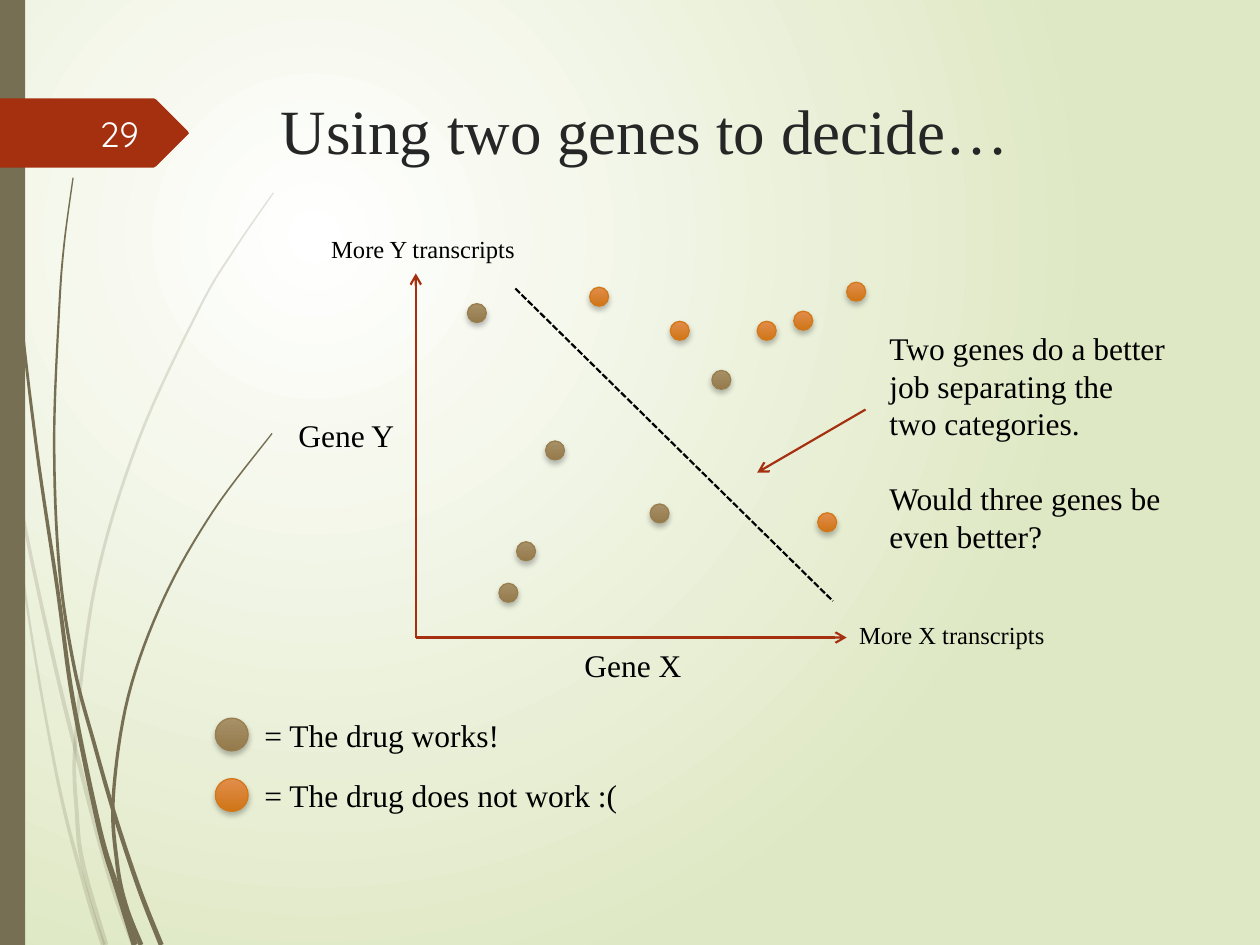
import math
import pptx
import pptx.util
import pptx.dml.color
import pptx.enum.dml
import pptx.enum.shapes
import pptx.enum.text
import pptx.oxml
import pptx.oxml.ns
from pptx.util import Inches

COLORS = {"olive": "766F54", "red": "A53010", "black": "000000", "title": "262626",
          "white": "FEFFFF", "glow": "FFFFFF", "edge": "DFE8C4"}
SERIF = "Times New Roman"

# Content: label text, left, top, width, height, size
LABELS = [
    ("More X transcripts", 6.72, 4.87, 1.68, 0.34, 14),
    ("More Y transcripts", 2.53, 1.81, 1.72, 0.34, 14),
    ("Gene Y", 2.27, 3.25, 0.97, 0.4, 18),
    ("Gene X", 4.54, 5.08, 0.98, 0.4, 18),
]
REMARKS = ["Two genes do a better job separating the two categories.",
           "Would three genes be even better?"]
# Each outcome: legend, legend top, fill top, fill bottom, line, left and top of its dots
OUTCOMES = [
    ("= The drug works!", 5.7, "A89068", "947A4B", "987D4D",
     [(3.71, 2.41), (3.96, 4.63), (4.1, 4.3), (4.33, 3.5), (5.16, 4), (5.65, 2.94)]),
    ("= The drug does not work :(", 6.18, "E18D4C", "CF7516", "D47817",
     [(6.3, 2.47), (6.01, 2.55), (6.72, 2.24), (5.32, 2.55), (6.49, 4.07), (4.68, 2.28)]),
]
# Start, end, colour, dash, arrowhead
ORIGIN = (3.3, 5.06)
LINES = [
    (ORIGIN, (3.3, 2.17), "red", False, True),
    (ORIGIN, (6.72, 5.06), "red", False, True),
    ((4.09, 2.29), (6.61, 4.77), "black", True, False),
    ((6.87, 3.25), (6.01, 3.75), "red", False, True),
]
# Grass blades: opacity, width at start, width at end, centre points
BLADES = [
    (20, 0.02, 0.04, [(0, 2.9), (0.1, 3.6), (0.21, 4.24), (0.42, 5.21), (0.6, 5.95),
                      (0.86, 6.93), (1.06, 7.5)]),
    (20, 0.01, 0.04, [(0.09, 3.5), (0.2, 4.7), (0.46, 6.2), (0.68, 7.06), (0.82, 7.5)]),
    (20, 0.01, 0.04, [(2.17, 1.53), (1.86, 1.98), (1.58, 2.45), (1.1, 3.49), (0.76, 4.62),
                      (0.6, 5.85), (0.61, 6.46), (0.66, 6.87), (0.84, 7.5)]),
    (100, 0.01, 0.05, [(0.02, 0), (0.06, 1.1), (0.15, 2.33), (0.29, 3.55), (0.46, 4.7),
                       (0.58, 5.56), (0.79, 6.58), (0.93, 7.05), (1.07, 7.5)]),
    (100, 0.01, 0.04, [(0.58, 1.41), (0.51, 1.93), (0.47, 2.45), (0.43, 3.49), (0.47, 4.5),
                       (0.59, 5.3), (0.75, 5.91), (0.92, 6.5), (1.11, 7.07), (1.28, 7.5)]),
    (100, 0.01, 0.04, [(2.16, 3.44), (1.69, 4.06), (1.3, 4.75), (1.02, 5.52), (0.9, 6.32),
                       (0.93, 6.85), (1, 7.19), (1.12, 7.5)]),
]
SIGN = [(0, 0.78), (1.22, 0.78), (1.24, 0.79), (1.49, 1.04), (1.5, 1.06), (1.49, 1.07),
        (1.24, 1.32), (1.22, 1.33), (0, 1.33)]

deck = pptx.Presentation()
deck.slide_width, deck.slide_height = Inches(10), Inches(7.5)
page = deck.slides.add_slide(deck.slide_layouts[5])


def rgb(value):
    return pptx.dml.color.RGBColor.from_string(value)


def xml(tag, inner="", **attributes):
    listed = "".join(f' {name}="{value}"' for name, value in attributes.items())
    return pptx.oxml.parse_xml(
        f'<a:{tag} {pptx.oxml.ns.nsdecls("a")}{listed}>{inner}</a:{tag}>')


def paint(shape, color, opacity=100):
    shape.shadow.inherit = False
    shape.line.fill.background()
    shape.fill.solid()
    shape.fill.fore_color.rgb = rgb(color)
    if opacity < 100:
        shade = shape.fill._xPr.find(".//" + pptx.oxml.ns.qn("a:srgbClr"))
        shade.append(xml("alpha", val=opacity * 1000))


def shade_between(fill, colors, angle=None):
    fill.gradient()
    if angle is not None:
        fill.gradient_angle = angle
    for stop, color, place in zip(fill.gradient_stops, colors, (0, 1)):
        stop.color.rgb = rgb(color)
        stop.position = place


def add_outline(points, color, opacity=100):
    spots = [(Inches(x), Inches(y)) for x, y in points]
    builder = page.shapes.build_freeform(*spots[0])
    builder.add_line_segments(spots[1:], close=True)
    paint(builder.convert_to_shape(), color, opacity)


def smooth_curve(points, steps=8):
    """Catmull-Rom curve through the points."""
    padded = [points[0], *points, points[-1]]
    curve = []
    for a, b, c, d in zip(padded, padded[1:], padded[2:], padded[3:]):
        for t in (step / steps for step in range(steps)):
            curve.append(tuple(
                q + t * (r - p) / 2 + t**2 * (2 * p - 5 * q + 4 * r - s) / 2
                + t**3 * (3 * q - p - 3 * r + s) / 2
                for p, q, r, s in zip(a, b, c, d)))
    return curve + [points[-1]]


def add_blade(opacity, first_width, last_width, points):
    curve = smooth_curve(points)
    left, right = [], []
    for i, (x, y) in enumerate(curve):
        before, after = curve[max(i - 1, 0)], curve[min(i + 1, len(curve) - 1)]
        run, rise = after[0] - before[0], after[1] - before[1]
        half = (first_width + (last_width - first_width) * i / len(curve)) / 2
        reach = half / math.hypot(run, rise)
        left.append((x - rise * reach, y + run * reach))
        right.append((x + rise * reach, y - run * reach))
    add_outline(left + right[::-1], COLORS["olive"], opacity)


def style(para, size, color="black", font=SERIF):
    para.font.size, para.font.name = pptx.util.Pt(size), font
    para.font.color.rgb = rgb(COLORS[color])


def add_text(texts, left, top, width, height, size, color="black", font=SERIF, wrap=False):
    box = page.shapes.add_textbox(*map(Inches, (left, top, width, height)))
    box.text_frame.word_wrap = wrap
    box.text_frame.text = "\n".join(texts)
    for para in box.text_frame.paragraphs:
        style(para, size, color, font)
    return box.text_frame


def add_dot(left, top, size, colors, line):
    dot = page.shapes.add_shape(pptx.enum.shapes.MSO_SHAPE.OVAL,
                                *map(Inches, (left, top, size, size)))
    shade_between(dot.fill, colors, 270)
    dot.line.color.rgb = rgb(line)
    dot.line.width = pptx.util.Pt(0.75)
    dot.shadow.inherit = False
    effects = dot._element.spPr.find(pptx.oxml.ns.qn("a:effectLst"))
    effects.append(xml("outerShdw", '<a:srgbClr val="000000"><a:alpha val="25000"/></a:srgbClr>',
                       blurRad=38100, dist=25400, dir=5400000, rotWithShape=0))


def add_line(start, end, color, dashed, arrow):
    line = page.shapes.add_connector(pptx.enum.shapes.MSO_CONNECTOR.STRAIGHT,
                                     *map(Inches, start + end))
    line.line.color.rgb = rgb(COLORS[color])
    line.line.width = pptx.util.Pt(1.25)
    if dashed:
        line.line.dash_style = pptx.enum.dml.MSO_LINE.SQUARE_DOT
    if arrow:
        line.line._get_or_add_ln().append(xml("tailEnd", type="arrow"))
    line._element.spPr.append(xml("effectLst"))


# Background glow
shade_between(page.background.fill, (COLORS["glow"], COLORS["edge"]))
glow = page.element.find(".//" + pptx.oxml.ns.qn("a:gradFill"))
glow.replace(glow.find(pptx.oxml.ns.qn("a:lin")),
             xml("path", '<a:fillToRect l="50000" t="50000" r="100000" b="100000"/>',
                 path="circle"))

# Grass, side band and number sign
for blade in BLADES:
    add_blade(*blade)
band = page.shapes.add_shape(pptx.enum.shapes.MSO_SHAPE.RECTANGLE, 0, 0, Inches(0.2), Inches(7.5))
paint(band, COLORS["olive"])
add_outline(SIGN, COLORS["red"])
number = add_text(["29"], 0.56, 0.86, 0.64, 0.4, 20, "white", "Quicksand", True)
number.vertical_anchor = pptx.enum.text.MSO_ANCHOR.MIDDLE
number.paragraphs[0].alignment = pptx.enum.text.PP_ALIGN.RIGHT

# Title
title = page.shapes.title
title.left, title.top, title.width, title.height = map(Inches, (2.13, 0.68, 7.21, 1.4))
title.text_frame.text = "Using two genes to decide…"
title.text_frame.vertical_anchor = pptx.enum.text.MSO_ANCHOR.TOP
title.text_frame.paragraphs[0].alignment = pptx.enum.text.PP_ALIGN.LEFT
style(title.text_frame.paragraphs[0], 36, "title")

# Axes, divider, pointer and labels
for line in LINES:
    add_line(*line)
for text, *place in LABELS:
    add_text([text], *place)

# Legend and dots
for legend, top, light, dark, border, dots in OUTCOMES:
    add_dot(1.71, top, 0.26, (light, dark), border)
    add_text([legend], 2, top - 0.07, 3.02, 0.4, 18)
    for left, dot_top in dots:
        add_dot(left, dot_top, 0.15, (light, dark), border)

# Remarks
remarks = add_text(REMARKS, 6.96, 2.56, 2.41, 1.92, 18, wrap=True)
remarks.paragraphs[1].space_before = pptx.util.Pt(21)

deck.save("out.pptx")
